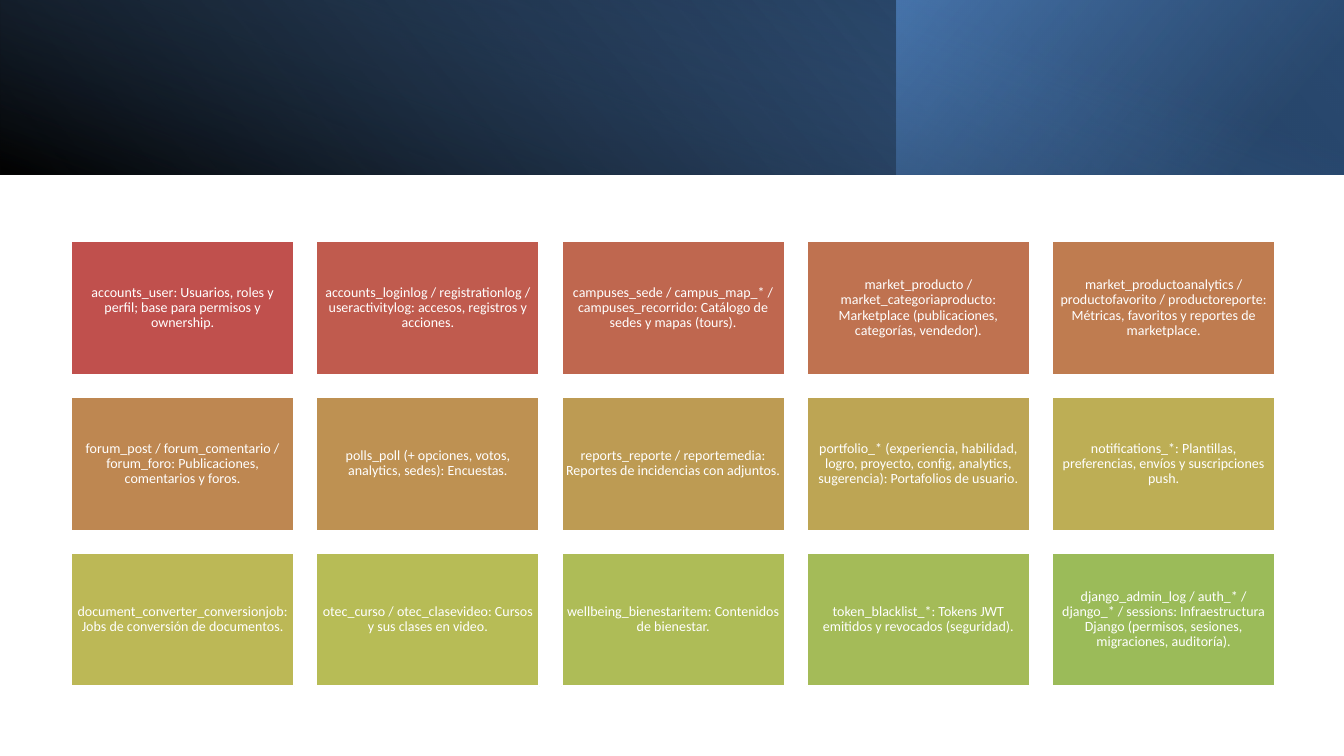
from colorsys import hls_to_rgb, rgb_to_hls
from dataclasses import dataclass

from lxml.etree import SubElement
from pptx import Presentation
from pptx.dml.color import RGBColor
from pptx.enum.shapes import MSO_SHAPE
from pptx.enum.text import MSO_ANCHOR, PP_ALIGN
from pptx.oxml.ns import qn
from pptx.util import Cm, Pt

COLORS = {
    "white": "FFFFFF",
    "black": "000000",
    "blue": "4F81BD",
    "mid_blue": "376092",
    "dark_blue": "254061",
    "first_tile": "C0504D",
    "last_tile": "9BBB59",
}
FONT = "Calibri"

# Sizes in centimetres
SLIDE_WIDTH, SLIDE_HEIGHT = 50.8, 28.58
HEADER_HEIGHT = 6.58
COLUMNS = 5
GRID_LEFT, GRID_TOP = 2.69, 9.12
TILE_WIDTH, TILE_HEIGHT = 8.43, 5.05
COLUMN_STEP, ROW_STEP = 9.27, 5.89

TABLE_NOTES = [
    "accounts_user: Usuarios, roles y perfil; base para permisos y ownership.",
    "accounts_loginlog / registrationlog / useractivitylog: accesos, registros y acciones.",
    "campuses_sede / campus_map_* / campuses_recorrido: Catálogo de sedes y mapas (tours).",
    "market_producto / market_categoriaproducto: Marketplace (publicaciones, categorías, vendedor).",
    "market_productoanalytics / productofavorito / productoreporte: "
    "Métricas, favoritos y reportes de marketplace.",
    "forum_post / forum_comentario / forum_foro: Publicaciones, comentarios y foros.",
    "polls_poll (+ opciones, votos, analytics, sedes): Encuestas.",
    "reports_reporte / reportemedia: Reportes de incidencias con adjuntos.",
    "portfolio_* (experiencia, habilidad, logro, proyecto, config, analytics, sugerencia): "
    "Portafolios de usuario.",
    "notifications_*: Plantillas, preferencias, envíos y suscripciones push.",
    "document_converter_conversionjob: Jobs de conversión de documentos.",
    "otec_curso / otec_clasevideo: Cursos y sus clases en video.",
    "wellbeing_bienestaritem: Contenidos de bienestar.",
    "token_blacklist_*: Tokens JWT emitidos y revocados (seguridad).",
    "django_admin_log / auth_* / django_* / sessions: Infraestructura Django "
    "(permisos, sesiones, migraciones, auditoría).",
]


@dataclass
class Stop:
    position: float
    color: str
    opacity: int  # percent


@dataclass
class HeaderLayer:
    left: float
    top: float
    width: float
    height: float
    angle: int
    stops: tuple[Stop, Stop]
    rotation: int = 0
    flipped: bool = False


@dataclass
class Tile:
    left: float
    top: float
    text: str
    color: RGBColor


SIDE = (SLIDE_WIDTH - HEADER_HEIGHT) / 2
HEADER_LAYERS = [
    HeaderLayer(0, 0, SLIDE_WIDTH, HEADER_HEIGHT, 140,
                (Stop(0, "black", 96), Stop(1, "mid_blue", 100)), flipped=True),
    HeaderLayer(33.87, 0, 16.93, HEADER_HEIGHT, 320,
                (Stop(0.19, "dark_blue", 68), Stop(1, "blue", 79)), rotation=180),
    # A tall strip turned on its side to span the header
    HeaderLayer(SIDE, -SIDE, HEADER_HEIGHT, SLIDE_WIDTH, 340,
                (Stop(0.23, "blue", 0), Stop(0.99, "black", 74)), rotation=90),
]


def add_rectangle(slide, left: float, top: float, width: float, height: float):
    shape = slide.shapes.add_shape(
        MSO_SHAPE.RECTANGLE, Cm(left), Cm(top), Cm(width), Cm(height))
    shape.shadow.inherit = False
    return shape


def draw_header_layer(slide, layer: HeaderLayer) -> None:
    shape = add_rectangle(slide, layer.left, layer.top, layer.width, layer.height)
    shape.rotation = layer.rotation
    shape.line.fill.background()
    if layer.flipped:
        shape._element.spPr.find(qn("a:xfrm")).set("flipH", "1")

    shape.fill.gradient()
    shape.fill.gradient_angle = layer.angle
    for gradient_stop, stop in zip(shape.fill.gradient_stops, layer.stops):
        gradient_stop.position = stop.position
        gradient_stop.color.rgb = RGBColor.from_string(COLORS[stop.color])
    # Opacity of each stop
    for color, stop in zip(shape._element.spPr.iter(qn("a:srgbClr")), layer.stops):
        SubElement(color, qn("a:alpha")).set("val", str(stop.opacity * 1000))


def tile_color(fraction: float) -> RGBColor:
    """Blend hue, lightness and saturation from the first tile to the last."""
    first, last = (
        rgb_to_hls(*(channel / 255 for channel in RGBColor.from_string(COLORS[name])))
        for name in ("first_tile", "last_tile"))
    blend = (start + (end - start) * fraction for start, end in zip(first, last))
    return RGBColor(*(round(channel * 255) for channel in hls_to_rgb(*blend)))


def draw_tile(slide, tile: Tile) -> None:
    white = RGBColor.from_string(COLORS["white"])
    shape = add_rectangle(slide, tile.left, tile.top, TILE_WIDTH, TILE_HEIGHT)
    shape.fill.solid()
    shape.fill.fore_color.rgb = tile.color
    shape.line.color.rgb = white
    shape.line.width = Pt(2)

    text_frame = shape.text_frame
    text_frame.text = tile.text
    text_frame.word_wrap = True
    text_frame.vertical_anchor = MSO_ANCHOR.MIDDLE
    text_frame.margin_left = text_frame.margin_right = Cm(0.15)
    text_frame.margin_top = text_frame.margin_bottom = Cm(0.15)
    paragraph = text_frame.paragraphs[0]
    paragraph.alignment = PP_ALIGN.CENTER
    paragraph.line_spacing = 0.9
    font = paragraph.runs[0].font
    font.name = FONT
    font.size = Pt(15)
    font.color.rgb = white


def main() -> None:
    presentation = Presentation()
    presentation.slide_width = Cm(SLIDE_WIDTH)
    presentation.slide_height = Cm(SLIDE_HEIGHT)
    slide = presentation.slides.add_slide(presentation.slide_layouts[6])

    # Header band
    for layer in HEADER_LAYERS:
        draw_header_layer(slide, layer)

    # Grid of database tables
    for index, text in enumerate(TABLE_NOTES):
        row, column = divmod(index, COLUMNS)
        draw_tile(slide, Tile(
            GRID_LEFT + column * COLUMN_STEP,
            GRID_TOP + row * ROW_STEP,
            text,
            tile_color(index / (len(TABLE_NOTES) - 1))))

    presentation.save("out.pptx")


if __name__ == "__main__":
    main()
